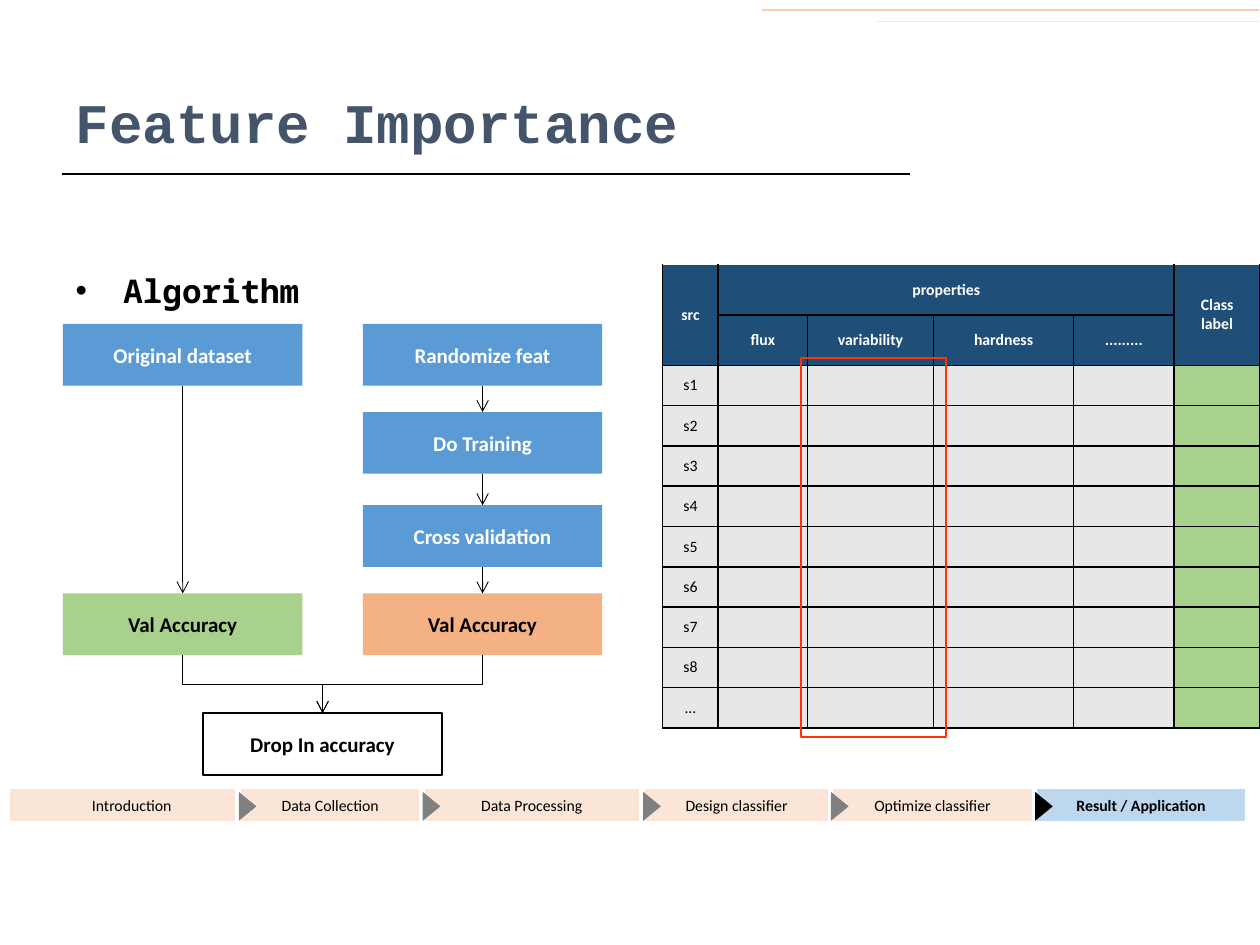
from lxml.etree import SubElement
from pptx import Presentation
from pptx.dml.color import RGBColor
from pptx.enum.shapes import MSO_CONNECTOR, MSO_SHAPE
from pptx.enum.text import MSO_ANCHOR, MSO_AUTO_SIZE, PP_ALIGN
from pptx.oxml.ns import qn
from pptx.util import Inches, Pt

BLUE, GREEN, ORANGE = "5B9BD5", "A9D18E", "F4B183"
NAVY, GREY, PEACH, SKY = "1F4E79", "E7E7E7", "FBE5D6", "BDD7EE"
BLACK, WHITE, RED = "000000", "FFFFFF", "FF3300"


def rgb(value):
    return RGBColor.from_string(value)


class SlideBuilder:
    """Holds the text style and the current slide."""

    style = {"name": "Calibri", "size": 12, "bold": True, "color": BLACK}

    def __init__(self, slide):
        self.s = slide

    def text(self, tf, text, align=PP_ALIGN.CENTER, **changes):
        fmt = {**self.style, **changes}
        color = fmt.pop("color")
        fmt["size"] = Pt(fmt["size"])
        for i, line in enumerate(text.split("\n")):
            p = tf.add_paragraph() if i else tf.paragraphs[0]
            p.alignment = align
            p.space_before = Pt(0)
            r = p.add_run()
            r.text = line
            for key, value in fmt.items():
                setattr(r.font, key, value)
            r.font.color.rgb = rgb(color)

    def placeholder(self, index, box, text, anchor, bullet=False, **fmt):
        sp = self.s.placeholders[index]
        for key, value in zip(("left", "top", "width", "height"), box):
            setattr(sp, key, Inches(value))
        tf = sp.text_frame
        tf.auto_size = MSO_AUTO_SIZE.NONE
        tf.word_wrap = True
        tf.vertical_anchor = anchor
        if bullet:
            pPr = tf.paragraphs[0]._p.get_or_add_pPr()
            pPr.set("marL", str(Inches(0.38)))
            pPr.set("indent", str(-Inches(0.38)))
            SubElement(pPr, qn("a:buFont")).set("typeface", "Arial")
            SubElement(pPr, qn("a:buChar")).set("char", "•")
        self.text(tf, text, PP_ALIGN.LEFT, **fmt)

    def shape(self, x, y, w, h, fill=None, line=None, text="",
              kind=MSO_SHAPE.RECTANGLE, **fmt):
        sp = self.s.shapes.add_shape(kind, Inches(x), Inches(y), Inches(w), Inches(h))
        sp.shadow.inherit = False
        if fill:
            sp.fill.solid()
            sp.fill.fore_color.rgb = rgb(fill)
        else:
            sp.fill.background()
        if line:
            sp.line.color.rgb = rgb(line[0])
            sp.line.width = Pt(line[1])
        else:
            sp.line.fill.background()
        if text:
            sp.text_frame.word_wrap = True
            sp.text_frame.vertical_anchor = MSO_ANCHOR.MIDDLE
            self.text(sp.text_frame, text, **fmt)
        return sp

    def line(self, x1, y1, x2, y2, color=BLACK, width=0.5, arrow=False,
             kind=MSO_CONNECTOR.STRAIGHT):
        c = self.s.shapes.add_connector(kind, *map(Inches, (x1, y1, x2, y2)))
        c.line.color.rgb = rgb(color)
        c.line.width = Pt(width)
        SubElement(c._element.spPr, qn("a:effectLst"))
        if arrow:
            SubElement(c.line._get_or_add_ln(), qn("a:tailEnd")).set("type", "arrow")
        return c

    def elbow(self, x1, y1, x2, y2):
        """Elbow that leaves and arrives vertically: a quarter-turned connector."""
        cx, cy = (x1 + x2) / 2, (y1 + y2) / 2
        dx, dy = (x2 - x1) / 2, (y2 - y1) / 2
        c = self.line(cx - dy, cy + dx, cx + dy, cy - dx, arrow=True,
                      kind=MSO_CONNECTOR.ELBOW)
        c._element.spPr.find(qn("a:xfrm")).set("rot", str(90 * 60000))

    def cell(self, cell, text, fill, sides, **fmt):
        cell.margin_top = cell.margin_bottom = 0
        cell.vertical_anchor = MSO_ANCHOR.MIDDLE
        tcPr = cell._tc.get_or_add_tcPr()
        for side in sides:
            ln = SubElement(tcPr, qn(f"a:ln{side}"), w=str(Pt(1)))
            SubElement(SubElement(ln, qn("a:solidFill")), qn("a:srgbClr")).set("val", BLACK)
        cell.fill.solid()
        cell.fill.fore_color.rgb = rgb(fill)
        self.text(cell.text_frame, text, size=9, **fmt)

    def table(self, x, y, cols, heights, rows, merges):
        t = self.s.shapes.add_table(len(rows), len(cols), Inches(x), Inches(y),
                                    Inches(sum(cols)), Inches(sum(heights))).table
        for col, w in zip(t.columns, cols):
            col.width = Inches(w)
        for row, h in zip(t.rows, heights):
            row.height = Inches(h)
        for r, row in enumerate(rows):
            head = r < 2
            for c, text in enumerate(row):
                fill = NAVY if head else GREEN if c == len(cols) - 1 else GREY
                self.cell(t.cell(r, c), text, fill, "LRTB" if r else "LRB",
                          bold=head, color=WHITE if head else BLACK)
        for first, last in merges:
            t.cell(*first).merge(t.cell(*last))


def main():
    prs = Presentation()
    prs.slide_width, prs.slide_height = Inches(10), Inches(7.5)
    b = SlideBuilder(prs.slides.add_slide(prs.slide_layouts[1]))

    # Rules, title and heading
    b.line(0.49, 1.38, 7.22, 1.38, width=1.5)
    b.line(9.99, 0.08, 6.05, 0.08, "F8CBAD", 1)
    b.line(9.99, 0.17, 6.96, 0.17, PEACH, 1)
    b.placeholder(0, (0.5, 0.53, 8.45, 0.87), "Feature Importance", MSO_ANCHOR.MIDDLE,
                  name="Courier New", size=31.9, color="44546A")
    b.placeholder(1, (0.5, 2.1, 4.41, 0.36), "Algorithm", MSO_ANCHOR.TOP, bullet=True,
                  name="Noto Sans Mono", size=18.6)

    # Data table
    sources = [f"s{n}" for n in range(1, 9)] + ["..."]
    rows = [["src", "properties", "", "", "", "Class\nlabel"],
            ["", "flux", "variability", "hardness", ".........", ""]]
    rows += [[name] + [""] * 5 for name in sources]
    b.table(5.26, 2.1, [0.44, 0.71, 1, 1.11, 0.8, 0.68],
            [0.4] * 2 + [0.32] * len(sources), rows,
            [((0, 0), (1, 0)), ((0, 1), (0, 4)), ((0, 5), (1, 5))])

    # Flow chart: two columns of boxes joined by arrows
    w, h = 1.9, 0.49
    columns = {
        0.5: [(2.57, "Original dataset", BLUE), (4.71, "Val Accuracy", GREEN)],
        2.88: [(2.57, "Randomize feat", BLUE), (3.27, "Do Training", BLUE),
               (4.01, "Cross validation", BLUE), (4.71, "Val Accuracy", ORANGE)],
    }
    drop_x, drop_y = 1.61, 5.66
    b.shape(drop_x, drop_y, w, h, line=(BLACK, 1), text="Drop In accuracy")
    for x, boxes in columns.items():
        mid = x + w / 2
        for y, text, fill in boxes:
            b.shape(x, y, w, h, fill, text=text, color=WHITE if fill == BLUE else BLACK)
        for upper, lower in zip(boxes, boxes[1:]):
            b.line(mid, upper[0] + h, mid, lower[0], arrow=True)
        b.elbow(mid, boxes[-1][0] + h, drop_x + w / 2, drop_y)

    # Progress bar with a marker at the start of each later step
    steps = [(0.06, 1.97, "Introduction"), (1.89, 1.46, "Data Collection"),
             (3.35, 1.74, "Data Processing"), (5.1, 1.49, "Design classifier"),
             (6.59, 1.62, "Optimize classifier"), (8.21, 1.69, "Result / Application")]
    for i, (x, width, text) in enumerate(steps):
        current = i == len(steps) - 1
        b.shape(x, 6.24, width, 0.3, SKY if current else PEACH, (WHITE, 3), text,
                size=9, bold=current)
        if i:
            marker = b.shape(x - 0.04, 6.33, 0.23, 0.14, BLACK if current else "808080",
                             kind=MSO_SHAPE.ISOSCELES_TRIANGLE)
            marker.rotation = 90

    # Frame around the randomized column
    b.shape(6.36, 2.84, 1.15, 3.01, line=(RED, 1.25))

    prs.save("out.pptx")


if __name__ == "__main__":
    main()
